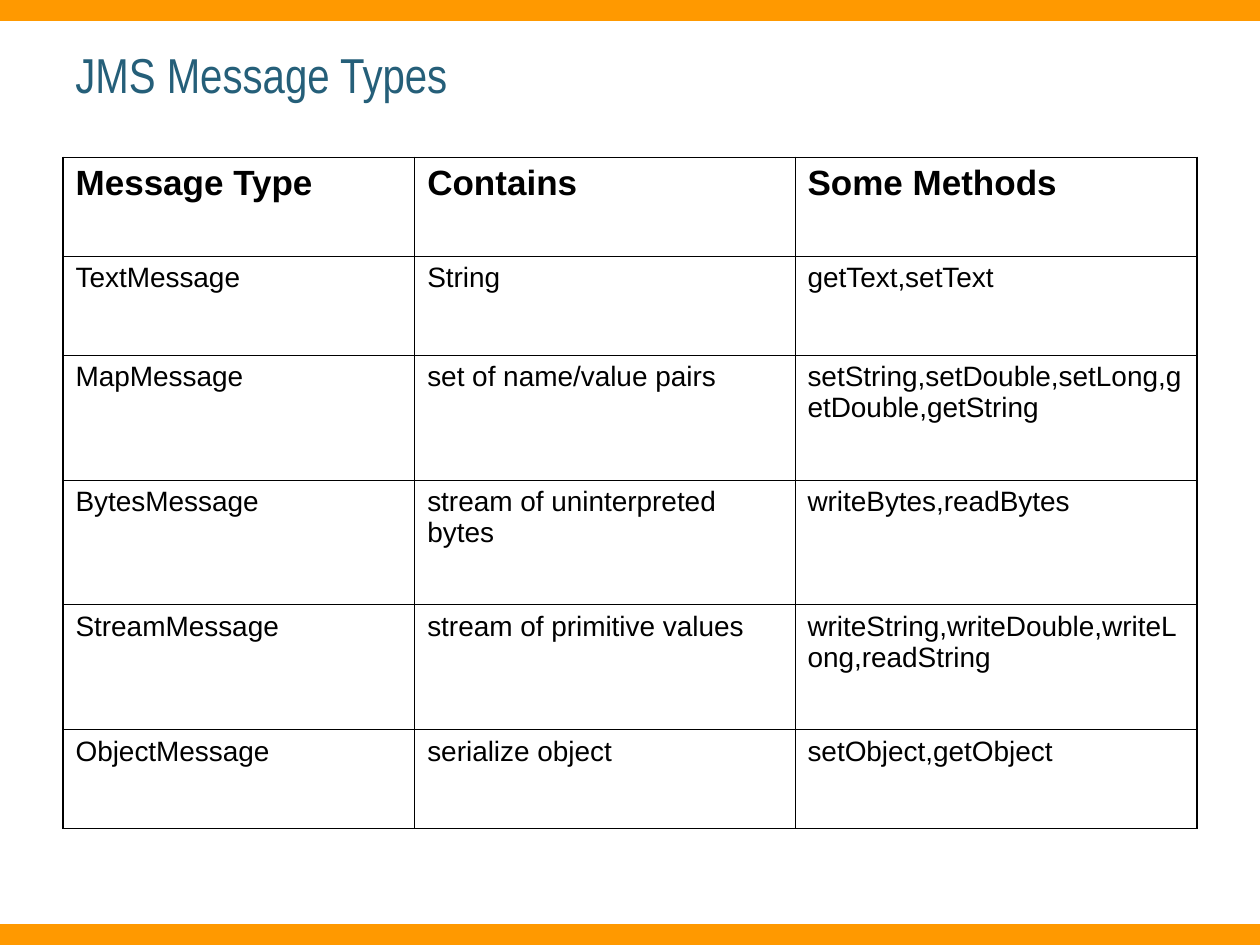
from dataclasses import dataclass

from lxml import etree
from pptx import Presentation
from pptx.dml.color import RGBColor
from pptx.enum.shapes import MSO_SHAPE
from pptx.enum.text import MSO_ANCHOR
from pptx.oxml.ns import qn
from pptx.util import Pt

RECTANGLE = MSO_SHAPE.RECTANGLE
MIDDLE = MSO_ANCHOR.MIDDLE


@dataclass(frozen=True)
class Theme:
    band: str = "FF9900"
    title: str = "255F79"
    ink: str = "000000"
    title_font: str = "Arial Narrow"
    body_font: str = "Arial"
    title_size: float = 28
    header_size: float = 20
    body_size: float = 16
    outer_line: float = 1.08
    inner_line: float = 0.45


THEME = Theme()
WIDTH, HEIGHT = 720, 540
BAND_HEIGHT = 12
MARGIN = 36
CONTENT_WIDTH = WIDTH - 2 * MARGIN

COLUMN_WIDTHS = [201, 217.3, 229.7]
ROW_HEIGHTS = [56.5, 56.5, 71.3, 71.3, 71.3, 56.5]
MESSAGE_TYPES = [
    ("Message Type", "Contains", "Some Methods"),
    ("TextMessage", "String", "getText,setText"),
    ("MapMessage", "set of name/value pairs",
     "setString,setDouble,setLong,getDouble,getString"),
    ("BytesMessage", "stream of uninterpreted bytes", "writeBytes,readBytes"),
    ("StreamMessage", "stream of primitive values",
     "writeString,writeDouble,writeLong,readString"),
    ("ObjectMessage", "serialize object", "setObject,getObject"),
]


def write_text(tf, text, font, size, color, bold=False):
    tf.text = text
    f = tf.paragraphs[0].runs[0].font
    f.name, f.size, f.bold = font, Pt(size), bold
    f.color.rgb = RGBColor.from_string(color)


def add_band(slide, left, top, width, height):
    sp = slide.shapes.add_shape(RECTANGLE, Pt(left), Pt(top), Pt(width), Pt(height))
    sp.shadow.inherit = False
    sp.fill.solid()
    sp.fill.fore_color.rgb = RGBColor.from_string(THEME.band)
    sp.line.fill.background()


def add_title(slide, text, left, top, width, height):
    sp = slide.shapes.add_textbox(Pt(left), Pt(top), Pt(width), Pt(height))
    tf = sp.text_frame
    tf.word_wrap = True
    tf.vertical_anchor = MIDDLE
    write_text(tf, text, THEME.title_font, THEME.title_size, THEME.title)


def set_borders(cell, on_edge):
    """Draw the four sides of a cell, heavier where the side is on the table's edge."""
    tc_pr = cell._tc.get_or_add_tcPr()
    for i, side in enumerate(("lnL", "lnR", "lnT", "lnB")):
        width = THEME.outer_line if on_edge[side] else THEME.inner_line
        ln = etree.Element(qn(f"a:{side}"), w=str(Pt(width)))
        fill = etree.SubElement(ln, qn("a:solidFill"))
        etree.SubElement(fill, qn("a:srgbClr"), val=THEME.ink)
        tc_pr.insert(i, ln)


def add_message_table(slide, rows, left, top, width, height):
    n_rows, n_cols = len(rows), len(rows[0])
    table = slide.shapes.add_table(
        n_rows, n_cols, Pt(left), Pt(top), Pt(width), Pt(height)).table
    table.first_row = table.horz_banding = False
    for column, w in zip(table.columns, COLUMN_WIDTHS):
        column.width = Pt(w)
    for row, h in zip(table.rows, ROW_HEIGHTS):
        row.height = Pt(h)

    for r, texts in enumerate(rows):
        header = r == 0
        size = THEME.header_size if header else THEME.body_size
        for c, text in enumerate(texts):
            cell = table.cell(r, c)
            cell.fill.background()
            write_text(cell.text_frame, text, THEME.body_font, size, THEME.ink, header)
            cell.text_frame.paragraphs[0].space_before = Pt(size / 4)
            set_borders(cell, {"lnL": c == 0, "lnR": c == n_cols - 1,
                               "lnT": header, "lnB": r == n_rows - 1})


def main():
    prs = Presentation()
    prs.slide_width, prs.slide_height = Pt(WIDTH), Pt(HEIGHT)
    slide = prs.slides.add_slide(prs.slide_layouts[6])
    for top in (0, HEIGHT - BAND_HEIGHT):
        add_band(slide, 0, top, WIDTH, BAND_HEIGHT)
    add_title(slide, "JMS Message Types", MARGIN, 18, CONTENT_WIDTH, 48)
    add_message_table(slide, MESSAGE_TYPES, MARGIN, 90, CONTENT_WIDTH, sum(ROW_HEIGHTS))
    prs.save("out.pptx")


if __name__ == "__main__":
    main()
